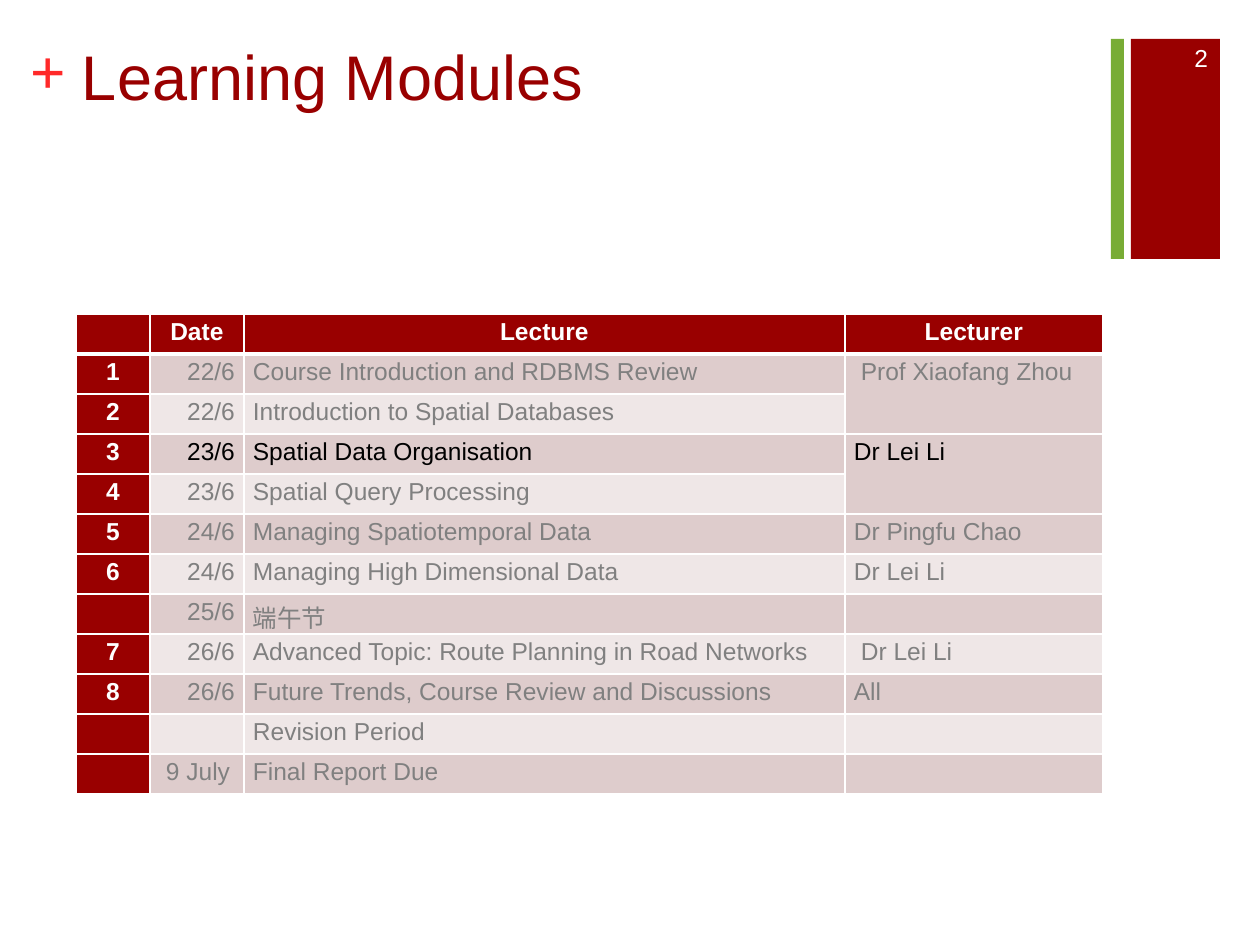
from lxml import etree
from pptx import Presentation
from pptx.dml.color import RGBColor
from pptx.enum.shapes import MSO_SHAPE
from pptx.enum.text import MSO_ANCHOR, PP_ALIGN
from pptx.oxml.ns import qn

PX = 914400 // 126
RECTANGLE = MSO_SHAPE.RECTANGLE
TOP, MIDDLE = MSO_ANCHOR.TOP, MSO_ANCHOR.MIDDLE
LEFT, CENTER, RIGHT = PP_ALIGN.LEFT, PP_ALIGN.CENTER, PP_ALIGN.RIGHT
POINT = 12700

DARK_RED = RGBColor(0x99, 0x00, 0x00)
BRIGHT_RED = RGBColor(0xFF, 0x29, 0x29)
GREEN = RGBColor(0x78, 0xAC, 0x35)
WHITE = RGBColor(0xFF, 0xFF, 0xFF)
BLACK = RGBColor(0x00, 0x00, 0x00)
GRAY = RGBColor(0x80, 0x80, 0x80)
DARK_BAND = RGBColor(0xDE, 0xCC, 0xCC)
LIGHT_BAND = RGBColor(0xEF, 0xE7, 0xE7)


def write_text(frame, text, *, size=14, color=GRAY, font="Arial", bold=False,
               align=LEFT, spacing=None, margins=(0, 0, 0, 0)):
    """Margins are left, top, right, bottom in px."""
    frame.word_wrap = True
    (frame.margin_left, frame.margin_top,
     frame.margin_right, frame.margin_bottom) = [m * PX for m in margins]
    paragraph = frame.paragraphs[0]
    paragraph.alignment = align
    if spacing:
        paragraph.line_spacing = spacing
    if not text:
        # An empty cell takes its line height from the paragraph end mark.
        etree.SubElement(paragraph._p, qn("a:endParaRPr"), sz=str(size * 100))
        return
    run = paragraph.add_run()
    run.text = text
    run.font.size = size * POINT
    run.font.name = font
    run.font.bold = bold
    run.font.color.rgb = color


def set_borders(cell, **widths):
    """Draw white cell borders; widths are in points, keyed by side."""
    properties = cell._tc.get_or_add_tcPr()
    for position, side in enumerate(("L", "R", "T", "B")):
        line = etree.Element(qn(f"a:ln{side}"), w=str(widths.get(side, 1) * POINT))
        fill = etree.SubElement(line, qn("a:solidFill"))
        etree.SubElement(fill, qn("a:srgbClr"), val=str(WHITE))
        properties.insert(position, line)


presentation = Presentation()
presentation.slide_width = 1260 * PX
presentation.slide_height = 945 * PX
slide = presentation.slides.add_slide(presentation.slide_layouts[5])

# Corner bars
for left, width, color in ((1131, 89, DARK_RED), (1111, 13, GREEN)):
    bar = slide.shapes.add_shape(RECTANGLE, left * PX, 39 * PX, width * PX, 220 * PX)
    bar.shadow.inherit = False
    bar.fill.solid()
    bar.fill.fore_color.rgb = color
    bar.line.fill.background()

# Title, plus sign and slide number
title = slide.shapes.title
title.left, title.top, title.width, title.height = 69 * PX, 25 * PX, 1041 * PX, 154 * PX
title.text_frame.vertical_anchor = TOP
write_text(title.text_frame, "Learning Modules", size=36, color=DARK_RED,
           margins=(13, 12, 13, 6))

plus_sign = slide.shapes.add_textbox(30 * PX, 32 * PX, 37 * PX, 81 * PX)
write_text(plus_sign.text_frame, "+", size=36, color=BRIGHT_RED,
           font="Times New Roman", bold=True)

slide_number = slide.shapes.add_textbox(1144 * PX, 33 * PX, 77 * PX, 50 * PX)
slide_number.text_frame.vertical_anchor = MIDDLE
write_text(slide_number.text_frame, "2", color=WHITE, align=RIGHT,
           margins=(13, 6, 13, 6))

# Schedule
schedule = (
    ("", "Date", "Lecture", "Lecturer"),
    ("1", "22/6", "Course Introduction and RDBMS Review", "Prof Xiaofang Zhou"),
    ("2", "22/6", "Introduction to Spatial Databases", ""),
    ("3", "23/6", "Spatial Data Organisation", "Dr Lei Li"),
    ("4", "23/6", "Spatial Query Processing", ""),
    ("5", "24/6", "Managing Spatiotemporal Data", "Dr Pingfu Chao"),
    ("6", "24/6", "Managing High Dimensional Data", "Dr Lei Li"),
    ("", "25/6", "端午节", ""),
    ("7", "26/6", "Advanced Topic: Route Planning in Road Networks", "Dr Lei Li"),
    ("8", "26/6", "Future Trends, Course Review and Discussions", "All"),
    ("", "", "Revision Period", ""),
    ("", "9 July", "Final Report Due", ""),
)
column_widths = (74, 94, 601, 258)
row_height = 40
current_row = 3
indented_cells = {(1, 3), (8, 3), (11, 1)}

table = slide.shapes.add_table(
    len(schedule), len(column_widths), 76 * PX, 314 * PX,
    sum(column_widths) * PX, len(schedule) * row_height * PX).table
table.horz_banding = False
for column, width in zip(table.columns, column_widths):
    column.width = width * PX

for row, entries in enumerate(schedule):
    table.rows[row].height = row_height * PX
    for column, text in enumerate(entries):
        cell = table.cell(row, column)
        heading = row == 0 or column == 0
        indented = (row, column) in indented_cells
        if heading:
            fill, color, align = DARK_RED, WHITE, CENTER
        else:
            fill = DARK_BAND if row % 2 else LIGHT_BAND
            color = BLACK if row == current_row else GRAY
            align = RIGHT if column == 1 and not indented else LEFT
        cell.fill.solid()
        cell.fill.fore_color.rgb = fill
        set_borders(cell, T=3 if row == 1 else 1, B=3 if row == 0 else 1)
        write_text(cell.text_frame, text, color=color, bold=heading,
                   align=align, spacing=1.15)
        cell.margin_left = (16 if indented else 9) * PX
        cell.margin_right = 9 * PX
        cell.margin_top = cell.margin_bottom = 0

for row in (1, 3):
    table.cell(row, 3).merge(table.cell(row + 1, 3))

presentation.save("out.pptx")
